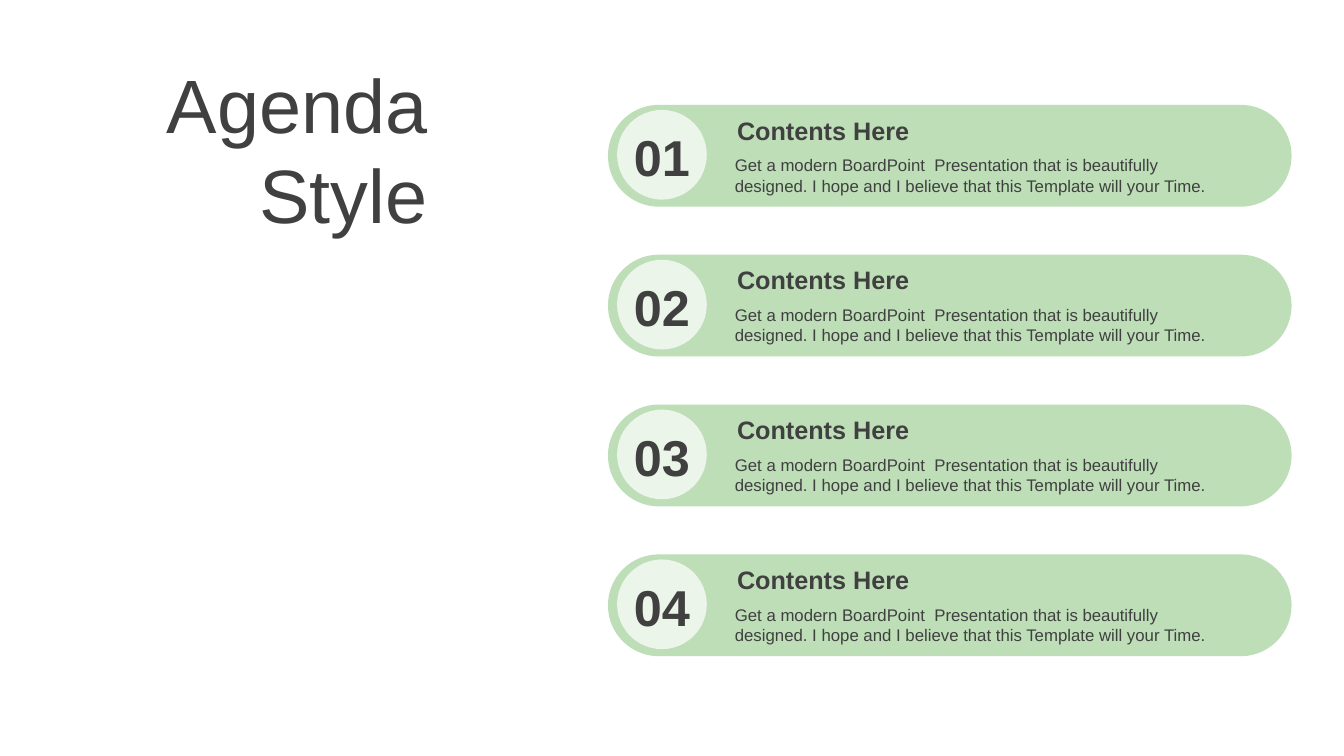
"""Build an agenda slide with four numbered content bars."""
from lxml import etree
from pptx import Presentation
from pptx import util as u
from pptx.dml.color import RGBColor
from pptx.enum import shapes, text
from pptx.oxml import ns

GREEN = RGBColor(0x5A, 0xAE, 0x4C)
WHITE = RGBColor(0xFF, 0xFF, 0xFF)
INK = RGBColor(0x40, 0x40, 0x40)
FONT = "Arial"
HEADING = "Contents Here"
DETAIL = ("Get a modern BoardPoint  Presentation that is beautifully designed. "
          "I hope and I believe that this Template will your Time.")
FIRST_TOP, LAST_TOP, COUNT = 1.04, 5.5, 4


class AgendaSlide:
    def __init__(self, page):
        self.page = page

    def style(self, frame, words, size, bold=False, align=text.PP_ALIGN.LEFT):
        frame.word_wrap = True
        frame.text = words
        para = frame.paragraphs[0]
        para.alignment = align
        font = para.runs[0].font
        font.name, font.size, font.bold = FONT, u.Pt(size), bold
        font.color.rgb = INK

    def title(self, words, area):
        box = self.page.shapes.title
        box.left, box.top, box.width, box.height = map(u.Inches, area)
        frame = box.text_frame
        self.style(frame, words, 54, align=text.PP_ALIGN.RIGHT)
        frame.auto_size = text.MSO_AUTO_SIZE.NONE
        frame.vertical_anchor = text.MSO_ANCHOR.MIDDLE

    def shape(self, group, kind, area, color, opacity):
        shape = group.shapes.add_shape(kind, *map(u.Inches, area))
        shape.shadow.inherit = False
        shape.fill.solid()
        shape.fill.fore_color.rgb = color
        shape.line.fill.background()
        rgb = shape.fill._xPr.find(".//" + ns.qn("a:srgbClr"))
        etree.SubElement(rgb, ns.qn("a:alpha")).set("val", str(opacity * 1000))
        return shape

    def label(self, group, words, area, size, bold=False, inset=0.1,
              align=text.PP_ALIGN.LEFT, anchor=text.MSO_ANCHOR.TOP):
        box = group.shapes.add_textbox(*map(u.Inches, area))
        frame = box.text_frame
        self.style(frame, words, size, bold, align)
        frame.auto_size = text.MSO_AUTO_SIZE.SHAPE_TO_FIT_TEXT
        frame.vertical_anchor = anchor
        frame.margin_left = frame.margin_right = u.Inches(inset)

    def item(self, number, top):
        group = self.page.shapes.add_group_shape()
        bar = self.shape(group, shapes.MSO_SHAPE.ROUNDED_RECTANGLE,
                         (6.03, top, 6.78, 1.01), GREEN, 40)
        bar.adjustments[0] = 0.5
        self.shape(group, shapes.MSO_SHAPE.OVAL,
                   (6.12, top + 0.05, 0.89, 0.89), WHITE, 70)
        self.label(group, DETAIL, (7.19, top + 0.45, 5.1, 0.5), 12)
        self.label(group, HEADING, (7.19, top + 0.05, 5.1, 0.4), 18,
                   bold=True, inset=0.12)
        self.label(group, f"{number:02}", (6.03, top + 0.16, 1.07, 0.71), 36,
                   bold=True, inset=0.12, align=text.PP_ALIGN.CENTER,
                   anchor=text.MSO_ANCHOR.MIDDLE)


def main():
    deck = Presentation()
    deck.slide_width, deck.slide_height = u.Inches(13.33), u.Inches(7.5)
    agenda = AgendaSlide(deck.slides.add_slide(deck.slide_layouts[5]))
    agenda.title("Agenda Style", (0.61, 0.41, 3.73, 2.12))
    pitch = (LAST_TOP - FIRST_TOP) / (COUNT - 1)
    for index in range(COUNT):
        agenda.item(index + 1, FIRST_TOP + pitch * index)
    deck.save("out.pptx")


if __name__ == "__main__":
    main()
